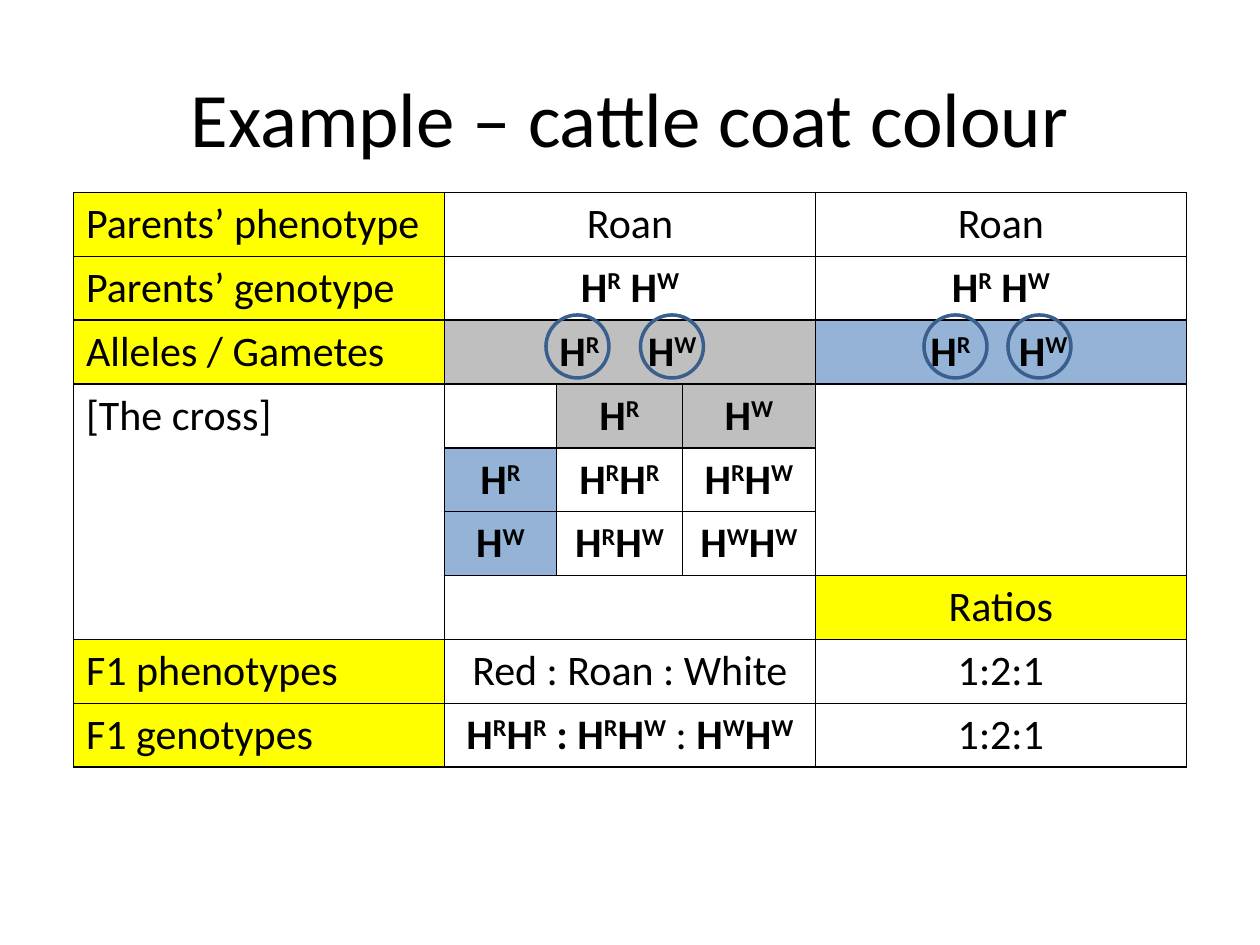
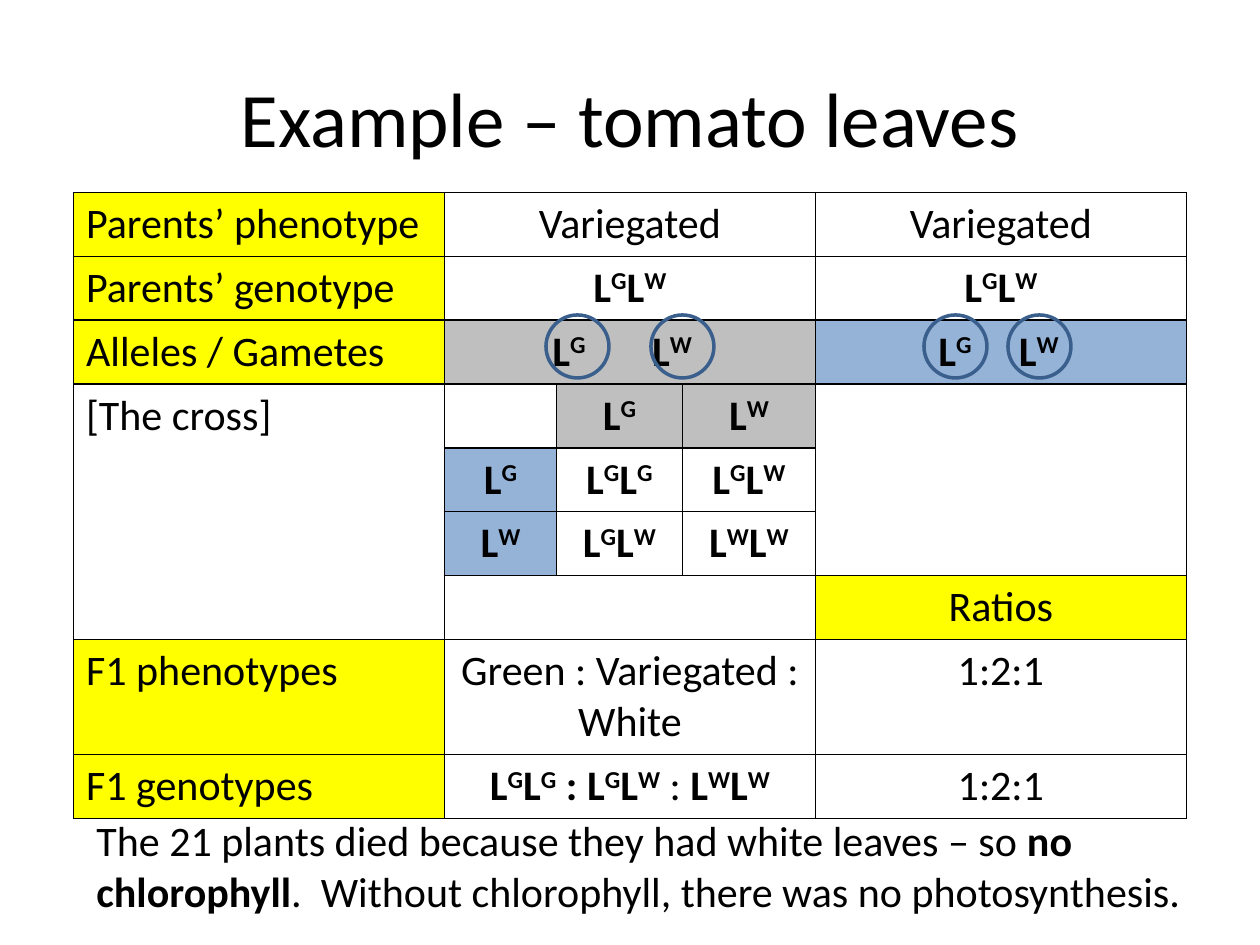
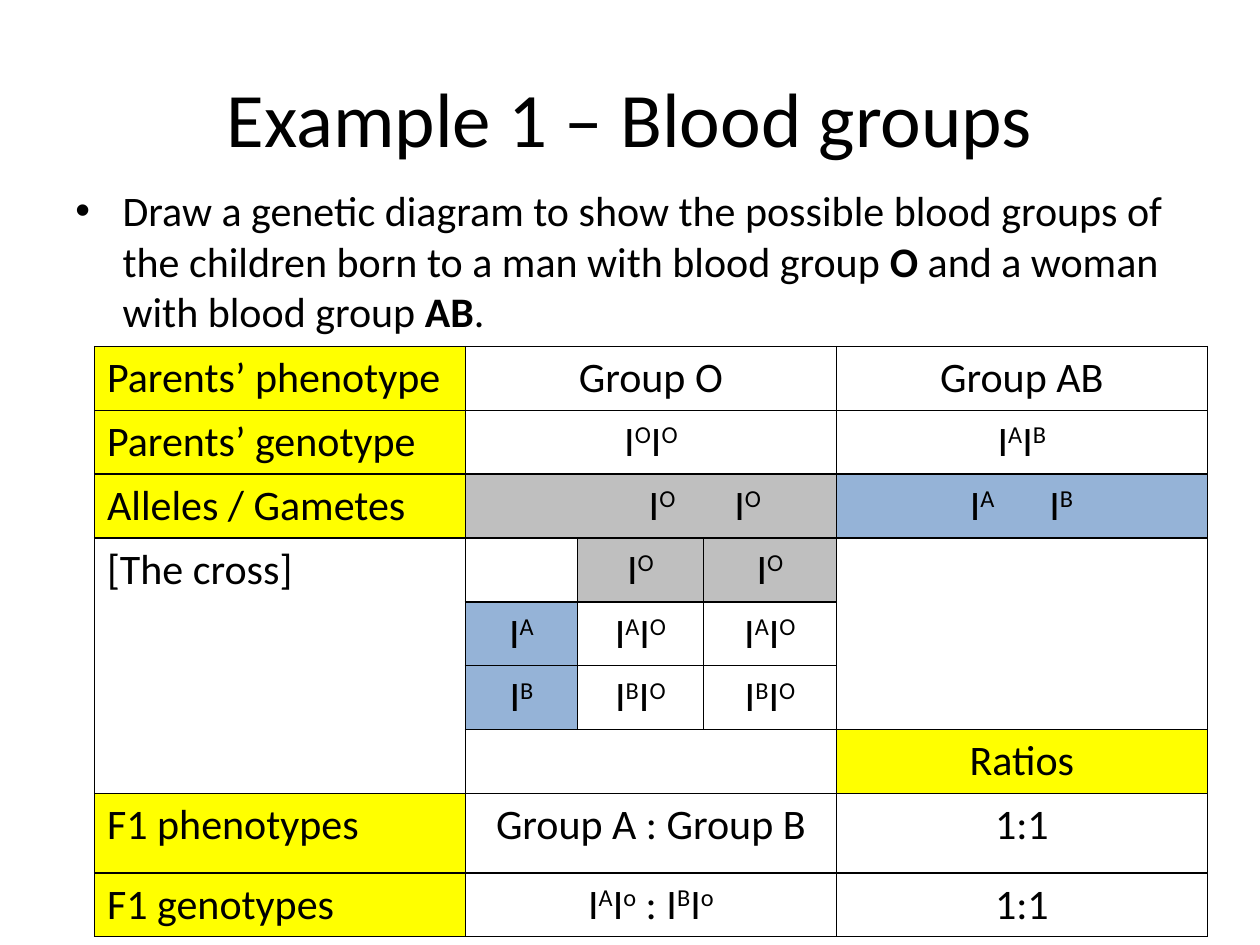
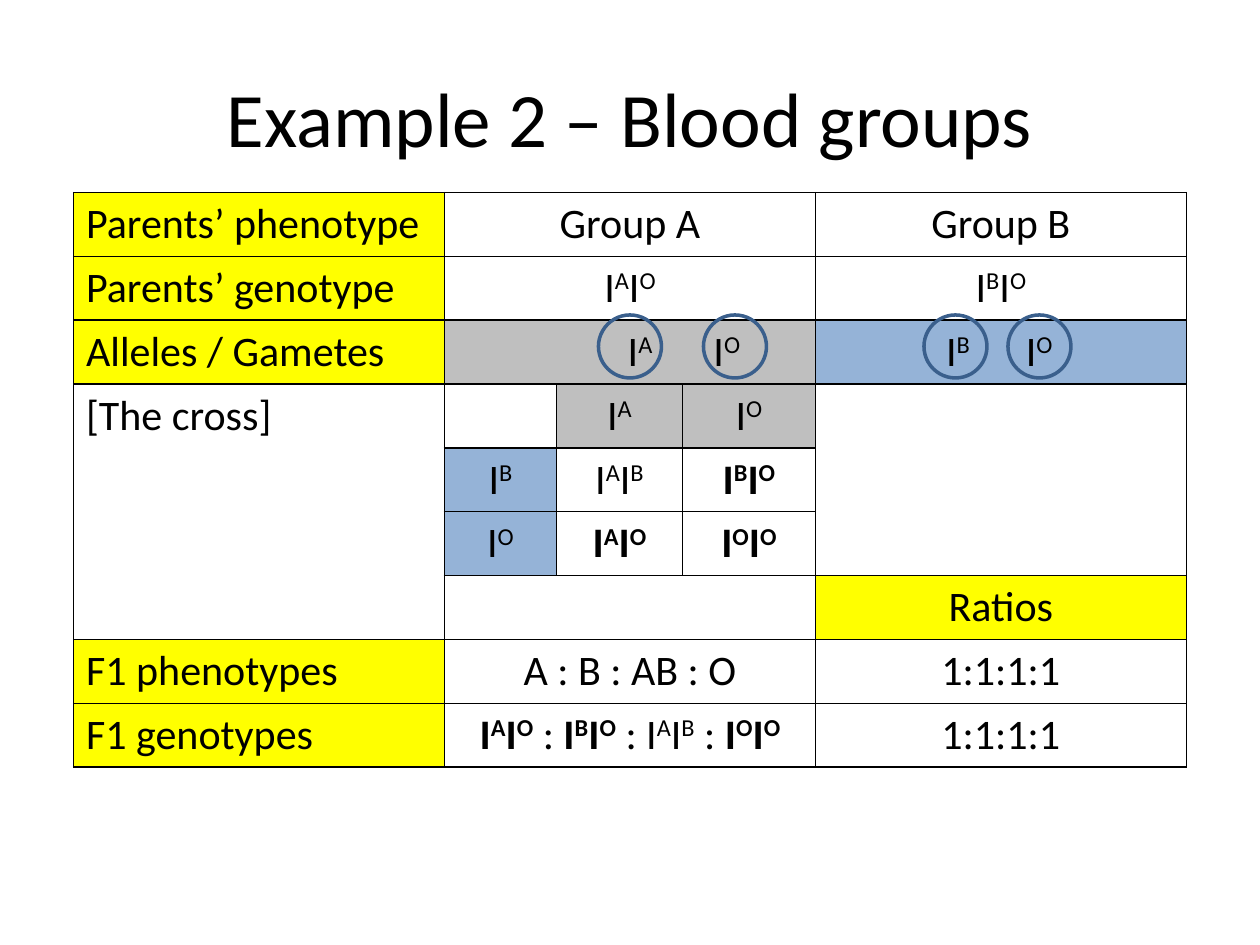
from itertools import groupby, product

from lxml.etree import SubElement
from pptx import Presentation
from pptx.dml.color import RGBColor
from pptx.enum.shapes import MSO_SHAPE
from pptx.enum.text import MSO_ANCHOR, PP_ALIGN
from pptx.oxml.ns import qn
from pptx.util import Pt

# Shared look
FONT = "Calibri"
COLORS = {
    "text": "000000",
    "label": "FFFF00",
    "parent1": "BFBFBF",
    "parent2": "95B3D7",
    "circle": "3A5F8C",
}
COL_WIDTHS = [212, 64, 72, 76, 212]
ROW_HEIGHT = 36.5
TABLE_AT = (42, 110)
MERGES = [((row, 1), (row, 3)) for row in (0, 1, 2, 6, 7, 8)]
MERGES += [((3, 0), (6, 0)), ((3, 4), (5, 4))]
LABELS = {
    0: "Parents’ phenotype",
    1: "Parents’ genotype",
    2: "Alleles / Gametes",
    7: "F1 phenotypes",
    8: "F1 genotypes",
}
CIRCLE_TOP, CIRCLE_SIZE = 180, 36

# Content: *...* is bold, ^ raises the next character.
# Each gamete pair comes with the two tab stops that place it in its cell.
SLIDES = [
    {
        "title": "Example – cattle coat colour",
        "phenotypes": ["Roan", "Roan"],
        "genotypes": ["*H^R H^W*", "*H^R H^W*"],
        "gametes": [("*H^R*", "*H^W*"), ("*H^R*", "*H^W*")],
        "stops": [(58.5, 109), (58.5, 109)],
        "offspring": [["*H^RH^R*", "*H^RH^W*"], ["*H^RH^W*", "*H^WH^W*"]],
        "f1": ["Red : Roan : White", "*H^RH^R : H^RH^W* : *H^WH^W*"],
        "ratio": "1:2:1",
        "circles": [312, 366, 528, 576],
    },
    {
        "title": "Example – tomato leaves",
        "phenotypes": ["Variegated", "Variegated"],
        "genotypes": ["*L^GL^W*", "*L^GL^W*"],
        "gametes": [("*L^G*", "*L^W*"), ("*L^G*", "*L^W*")],
        "stops": [(54.5, 111.5), (63, 109)],
        "offspring": [["*L^GL^G*", "*L^GL^W*"], ["*L^GL^W*", "*L^WL^W*"]],
        "f1": ["Green : Variegated : White", "*L^GL^G : L^GL^W* : *L^WL^W*"],
        "ratio": "1:2:1",
        "circles": [312, 372, 528, 576],
        "f1_height": 65.8,
        "note": "The 21 plants died because they had white leaves – so "
                "*no chlorophyll*.  Without chlorophyll, there was no photosynthesis.",
    },
    {
        "title": "Example 1 – Blood groups",
        "task": "Draw a genetic diagram to show the possible blood groups of the "
                "children born to a man with blood group *O* and a woman with "
                "blood group *AB*.",
        "table_at": (54, 198),
        "phenotypes": ["Group O", "Group AB"],
        "genotypes": ["I^OI^O", "I^AI^B"],
        "gametes": [("I^O", "I^O"), ("I^A", "I^B")],
        "stops": [(97.5, 146.5), (69, 114.5)],
        "offspring": [["I^AI^O", "I^AI^O"], ["I^BI^O", "I^BI^O"]],
        "f1": ["Group A : Group B", "I^AI^o : I^BI^o"],
        "ratio": "1:1",
        "f1_height": 45.4,
    },
    {
        "title": "Example 2 – Blood groups",
        "phenotypes": ["Group A", "Group B"],
        "genotypes": ["I^AI^O", "I^BI^O"],
        "gametes": [("I^A", "I^O"), ("I^B", "I^O")],
        "stops": [(97.5, 146.5), (67.5, 113)],
        "offspring": [["I^AI^B", "*I^BI^O*"], ["*I^AI^O*", "*I^OI^O*"]],
        "f1": ["A : B : AB : O", "*I^AI^O* : *I^BI^O* : I^AI^B : *I^OI^O*"],
        "ratio": "1:1:1:1",
        "circles": [342, 402, 528, 576],
    },
]


def rgb(name):
    return RGBColor.from_string(COLORS[name])


def split_marks(text):
    """Return (string, bold, raised) for each stretch of equal format."""
    chars, bold, raised = [], False, False
    for char in text:
        if char == "*":
            bold = not bold
        elif char == "^":
            raised = True
        else:
            chars.append((char, bold, raised))
            raised = False
    for (bold, raised), group in groupby(chars, key=lambda c: c[1:]):
        yield "".join(c[0] for c in group), bold, raised


def write(tf, text, size=24, align=PP_ALIGN.LEFT, stops=(), bullet=False):
    p = tf.paragraphs[0]
    p.alignment = align
    pPr = p._p.get_or_add_pPr()
    if bullet:
        pPr.set("marL", str(Pt(27)))
        pPr.set("indent", str(-Pt(27)))
        SubElement(pPr, qn("a:buFont"), typeface="Arial")
        SubElement(pPr, qn("a:buChar"), char="•")
    if stops:
        tabs = SubElement(pPr, qn("a:tabLst"))
        for stop in stops:
            SubElement(tabs, qn("a:tab"), pos=str(Pt(stop)), algn="l")
    for string, bold, raised in split_marks(text):
        r = p.add_run()
        r.text = string
        r.font.name, r.font.size, r.font.bold = FONT, Pt(size), bold
        r.font.color.rgb = rgb("text")
        if raised:
            r._r.get_or_add_rPr().set("baseline", "30000")


def add_text(slide, box, text, anchor=MSO_ANCHOR.TOP, **fmt):
    tf = slide.shapes.add_textbox(*map(Pt, box)).text_frame
    tf.word_wrap = True
    tf.vertical_anchor = anchor
    write(tf, text, **fmt)


def style_cell(cell, fill):
    tcPr = cell._tc.get_or_add_tcPr()
    for side in ("lnL", "lnR", "lnT", "lnB"):
        ln = SubElement(tcPr, qn("a:" + side), w=str(Pt(1)))
        solid = SubElement(ln, qn("a:solidFill"))
        SubElement(solid, qn("a:srgbClr"), val=COLORS["text"])
    if fill:
        cell.fill.solid()
        cell.fill.fore_color.rgb = rgb(fill)
    else:
        cell.fill.background()


def cross_cells(data):
    """Map (row, column) to (text, fill, format) for a genetic diagram."""
    center = {"align": PP_ALIGN.CENTER}
    cells = {(row, 0): (label, "label", {}) for row, label in LABELS.items()}
    cells[3, 0] = ("[The cross]", None, {})
    cells[6, 4] = ("Ratios", "label", center)
    # Parents
    for i, col in enumerate((1, 4)):
        cells[0, col] = (data["phenotypes"][i], None, center)
        cells[1, col] = (data["genotypes"][i], None, center)
        pair = "".join("\t" + gamete for gamete in data["gametes"][i])
        cells[2, col] = (pair, f"parent{i + 1}", {"stops": data["stops"][i]})
    # Punnett square and F1 results
    for i in range(2):
        cells[3, 2 + i] = (data["gametes"][0][i], "parent1", center)
        cells[4 + i, 1] = (data["gametes"][1][i], "parent2", center)
        for j in range(2):
            cells[4 + i, 2 + j] = (data["offspring"][i][j], None, center)
        cells[7 + i, 1] = (data["f1"][i], None, center)
        cells[7 + i, 4] = (data["ratio"], None, center)
    return cells


def add_cross(slide, data):
    heights = [ROW_HEIGHT] * 9
    heights[7] = data.get("f1_height", ROW_HEIGHT)
    left, top = data.get("table_at", TABLE_AT)
    frame = slide.shapes.add_table(len(heights), len(COL_WIDTHS), Pt(left), Pt(top),
                                   Pt(sum(COL_WIDTHS)), Pt(sum(heights)))
    table = frame.table
    table.first_row = table.horz_banding = False
    for column, width in zip(table.columns, COL_WIDTHS):
        column.width = Pt(width)
    for row, height in zip(table.rows, heights):
        row.height = Pt(height)
    for start, end in MERGES:
        table.cell(*start).merge(table.cell(*end))
    cells = cross_cells(data)
    for place in product(range(len(heights)), range(len(COL_WIDTHS))):
        text, fill, fmt = cells.get(place, ("", None, {}))
        cell = table.cell(*place)
        style_cell(cell, fill)
        if text:
            write(cell.text_frame, text, **fmt)


def add_circle(slide, left):
    sp = slide.shapes.add_shape(MSO_SHAPE.OVAL, Pt(left), Pt(CIRCLE_TOP),
                                Pt(CIRCLE_SIZE), Pt(CIRCLE_SIZE))
    sp.shadow.inherit = False
    sp.fill.background()
    sp.line.color.rgb = rgb("circle")
    sp.line.width = Pt(2)


def main():
    prs = Presentation()
    prs.slide_width, prs.slide_height = Pt(720), Pt(540)
    for data in SLIDES:
        slide = prs.slides.add_slide(prs.slide_layouts[6])
        add_text(slide, (36, 21.6, 648, 90), data["title"], size=44,
                 anchor=MSO_ANCHOR.MIDDLE, align=PP_ALIGN.CENTER)
        if "task" in data:
            add_text(slide, (36, 102, 648, 96), data["task"], bullet=True)
        add_cross(slide, data)
        for left in data.get("circles", []):
            add_circle(slide, left)
        if "note" in data:
            add_text(slide, (48, 462, 636, 65.5), data["note"])
    prs.save("out.pptx")


if __name__ == "__main__":
    main()
